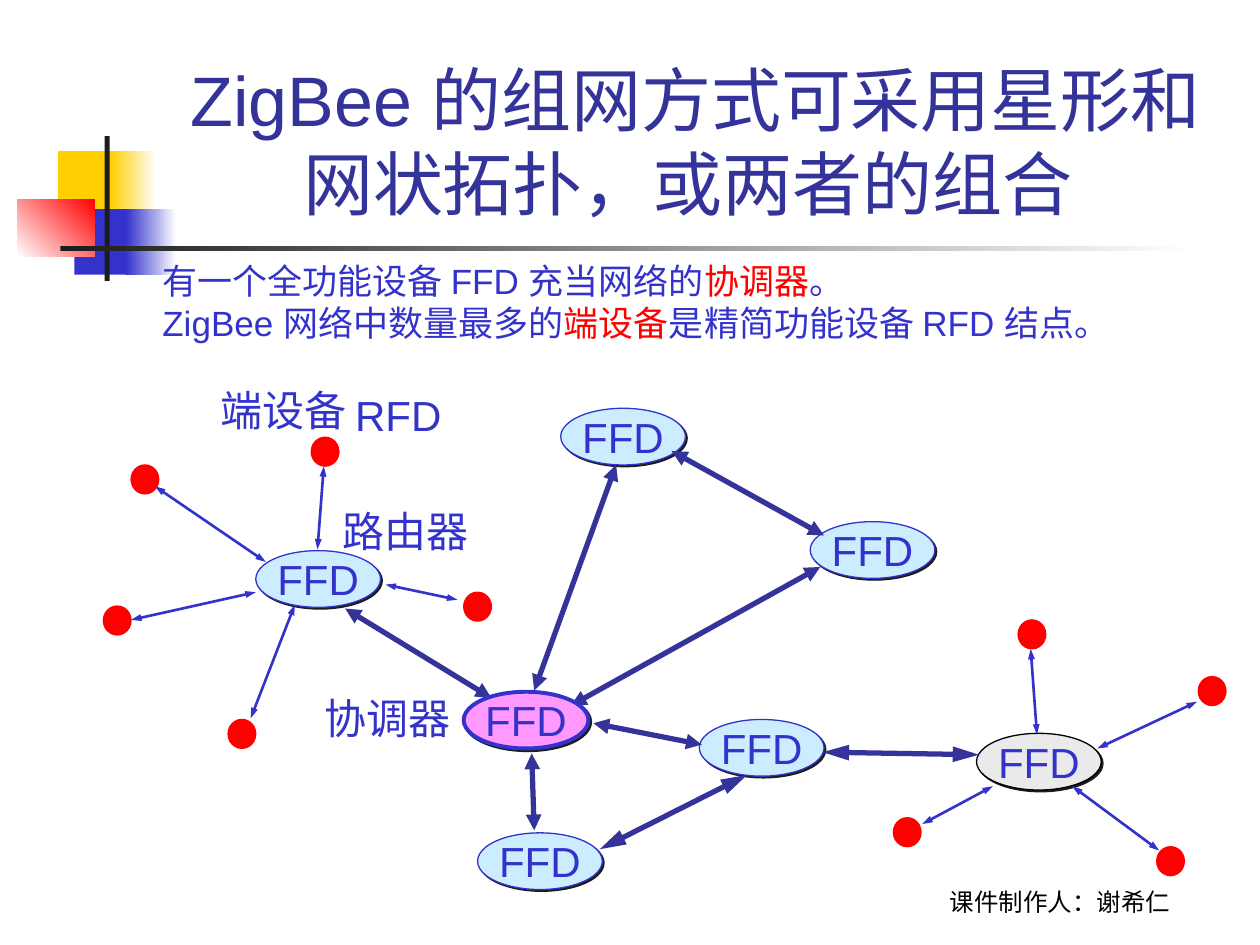
from lxml import etree
from pptx import Presentation
from pptx.dml.color import RGBColor
from pptx.enum.shapes import MSO_CONNECTOR, MSO_SHAPE
from pptx.enum.text import MSO_ANCHOR, MSO_AUTO_SIZE, PP_ALIGN
from pptx.oxml.ns import qn
from pptx.util import Pt

RECT, OVAL = MSO_SHAPE.RECTANGLE, MSO_SHAPE.OVAL
LINE = MSO_CONNECTOR.STRAIGHT
TOP, MID, LOW = MSO_ANCHOR.TOP, MSO_ANCHOR.MIDDLE, MSO_ANCHOR.BOTTOM
LEFT, CENTER = PP_ALIGN.LEFT, PP_ALIGN.CENTER
GROW = MSO_AUTO_SIZE.SHAPE_TO_FIT_TEXT

PX = 9144  # 100 px to the inch
BLUE, NAVY, RED, SKY = "3333CC", "333399", "FF0000", "CCECFF"
INK, WHITE, GOLD = "1C1C1C", "FFFFFF", "FFCF01"
ARIAL, ROBOTO = "Arial", "Roboto"
NODE, DOT = (99, 45), (22, 23)


def emu(*vals):
    return [v * PX for v in vals]


def rgb(code):
    return RGBColor.from_string(code)


def style(font, size=None, name=None, color=None):
    if size:
        font.size = Pt(size)
    if name:
        font.name = name
    if color:
        font.color.rgb = rgb(color)


def shape(slide, kind, box, fill, line=None, width=0.75):
    item = slide.shapes.add_shape(kind, *emu(*box))
    item.shadow.inherit = False
    item.fill.solid()
    item.fill.fore_color.rgb = rgb(fill)
    if line:
        item.line.color.rgb = rgb(line)
        item.line.width = Pt(width)
    else:
        item.line.fill.background()
    return item


def fade(item, start, end, angle=0):
    item.fill.gradient()
    item.fill.gradient_angle = angle
    for stop, code in zip(item.fill.gradient_stops, (start, end)):
        stop.color.rgb = rgb(code)


def text(slide, box, words, size, name, color, align=LEFT, anchor=TOP):
    item = slide.shapes.add_textbox(*emu(*box))
    frame = item.text_frame
    frame.word_wrap = True
    frame.vertical_anchor = anchor
    para = frame.paragraphs[0]
    para.text = words
    para.alignment = align
    style(para.font, size, name, color)
    return frame


def label(slide, x, y, words, wide=120):
    frame = text(slide, (x, y, wide, 50), words, 24, ARIAL, BLUE)
    frame.word_wrap = False
    frame.auto_size = GROW


def node(slide, x, y, fill=SKY, line=BLUE, width=0.75):
    item = shape(slide, OVAL, (x, y, *NODE), fill, line, width)
    effects = item._element.spPr.find(qn("a:effectLst"))
    shade = etree.SubElement(effects, qn("a:outerShdw"), dist="17960",
                             dir="2700000", algn="ctr", rotWithShape="0")
    etree.SubElement(shade, qn("a:srgbClr"), val=INK)
    frame = item.text_frame
    frame.word_wrap = False
    frame.vertical_anchor = MID
    para = frame.paragraphs[0]
    para.text = "FFD"
    para.alignment = CENTER
    style(para.font, 24, ARIAL, BLUE)


def link(slide, ends, color, width, wide="med", long="med"):
    """Draw a line with an arrowhead at both ends."""
    item = slide.shapes.add_connector(LINE, *emu(*ends))
    item.line.color.rgb = rgb(color)
    item.line.width = Pt(width)
    stroke = item.line._get_or_add_ln()
    for tag in ("a:headEnd", "a:tailEnd"):
        etree.SubElement(stroke, qn(tag), type="triangle", w=wide, len=long)
    etree.SubElement(item._element.spPr, qn("a:effectLst"))


def decor(slide, x, y):
    """Place the coloured squares and the two crossing bars."""
    shape(slide, RECT, (x + 32, y + 12, 48, 52), GOLD)
    fade(shape(slide, RECT, (x + 74, y + 12, 36, 52), GOLD), GOLD, WHITE)
    shape(slide, RECT, (x + 45, y + 58, 46, 52), BLUE)
    fade(shape(slide, RECT, (x + 86, y + 58, 40, 52), BLUE), BLUE, WHITE)
    fade(shape(slide, RECT, (x, y + 50, 61, 46), RED), WHITE, RED, 45)
    shape(slide, RECT, (x + 69, y, 4, 115), INK)
    fade(shape(slide, RECT, (x + 34, y + 87, 900, 4), INK), INK, WHITE)


def intro(slide, box):
    lines = [
        [("有一个全功能设备 FFD 充当", ARIAL, BLUE), ("网络的", ROBOTO, BLUE),
         ("协调器", ROBOTO, RED), ("。", ROBOTO, BLUE)],
        [("ZigBee 网络中数量最多的", ARIAL, BLUE), ("端设备", ARIAL, RED),
         ("是精简功能设备 RFD 结点。", ARIAL, BLUE)],
    ]
    frame = slide.shapes.add_textbox(*emu(*box)).text_frame
    frame.word_wrap = True
    for i, runs in enumerate(lines):
        para = frame.add_paragraph() if i else frame.paragraphs[0]
        style(para.font, 20)
        for words, name, color in runs:
            run = para.add_run()
            run.text = words
            style(run.font, name=name, color=color)


def star(slide, x, y, hub, dots, links, fill=SKY, line=BLUE):
    """Place a hub with its end devices and thin links."""
    for dx, dy in dots:
        shape(slide, OVAL, (x + dx, y + dy, *DOT), RED, RED)
    node(slide, x + hub[0], y + hub[1], fill, line)
    for ax, ay, bx, by in links:
        link(slide, (x + ax, y + ay, x + bx, y + by), BLUE, 1.5, "sm")


def mesh(slide, x, y):
    """Place the routers, their thick links and the coordinator."""
    for dx, dy in [(139, 341), (403, 94), (205, 4), (315, 251)]:
        node(slide, x + dx, y + dy)
    links = [
        (249, 49, 184, 228, "med"), (34, 163, 150, 234, "med"),
        (293, 38, 414, 105, "med"), (411, 130, 213, 240, "med"),
        (182, 278, 184, 339, "med"), (317, 271, 231, 254, "med"),
        (537, 279, 413, 277, "lg"), (353, 295, 236, 354, "lg"),
    ]
    for ax, ay, bx, by, long in links:
        ends = (x + ax, y + ay, x + bx, y + by)
        link(slide, ends, NAVY, 3, long=long)
    node(slide, x + 128, y + 229, "FF99FF", BLUE, 2.25)
    label(slide, x + 8, y + 225, "协调器")


def main():
    deck = Presentation()
    deck.slide_width, deck.slide_height = emu(1000, 750)
    slide = deck.slides.add_slide(deck.slide_layouts[6])
    decor(slide, 14, 108)
    text(slide, (683, 682, 317, 50), "课件制作人：谢希仁", 14, ROBOTO,
         "000000", CENTER, LOW)
    text(slide, (126, 23, 852, 160),
         "ZigBee 的组网方式可采用星形和网状拓扑，或两者的组合 ",
         40, ARIAL, NAVY, CENTER, LOW)
    star(slide, 80, 300, (123, 137),
         [(167, 47), (24, 69), (2, 181), (101, 271), (288, 170)],
         [(43, 86, 131, 146), (226, 164, 283, 176), (177, 70, 172, 136),
          (24, 192, 123, 170), (154, 180, 119, 270)])
    star(slide, 700, 490, (75, 92),
         [(218, 182), (9, 159), (251, 47), (108, 2)],
         [(250, 67, 171, 104), (118, 25, 123, 93), (151, 134, 220, 185),
          (88, 134, 32, 164)], "EAEAEA", "000000")
    label(slide, 272, 304, "RFD", 92)
    label(slide, 165, 300, "端设备")
    label(slide, 262, 396, "路由器")
    mesh(slide, 240, 320)
    intro(slide, (119, 201, 798, 77))
    deck.save("out.pptx")


if __name__ == "__main__":
    main()
